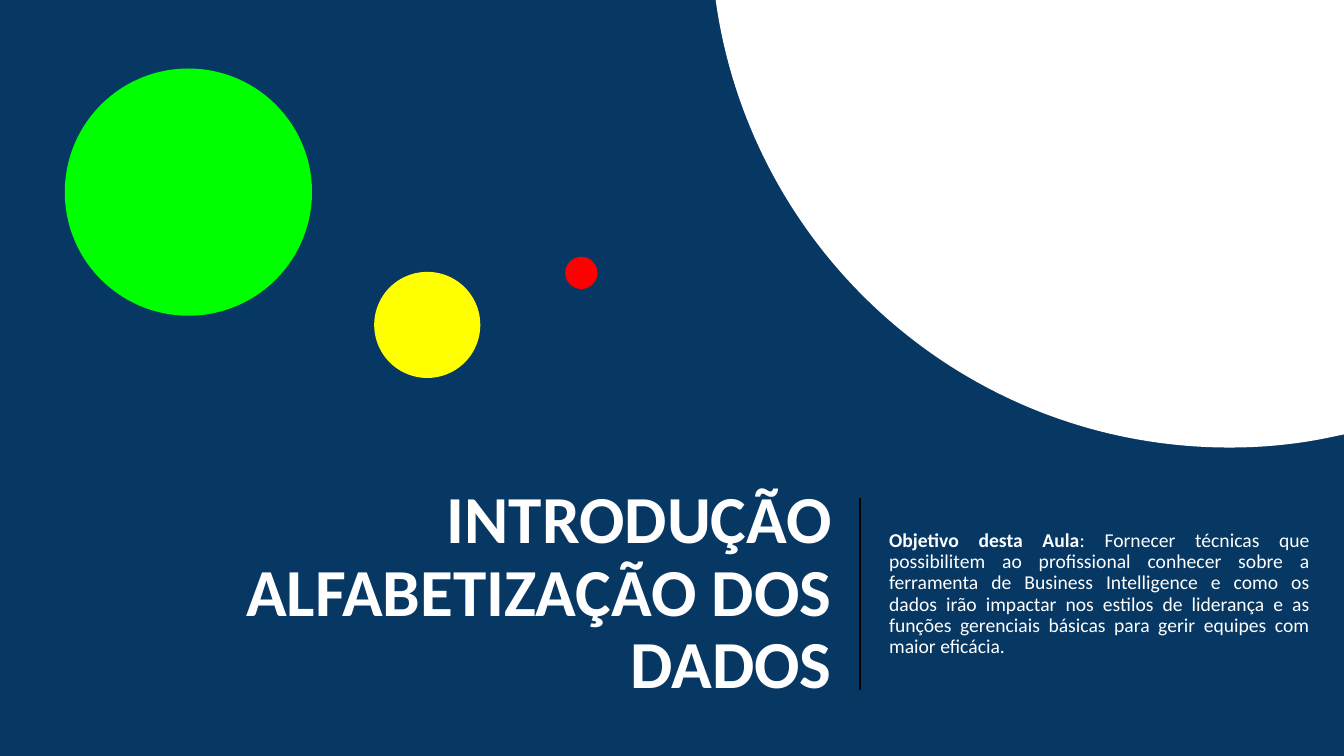
from dataclasses import dataclass

from lxml import etree
from pptx import Presentation
from pptx.dml.color import RGBColor
from pptx.enum.shapes import MSO_CONNECTOR, MSO_SHAPE
from pptx.enum.text import MSO_ANCHOR, PP_ALIGN
from pptx.oxml.ns import qn
from pptx.util import Pt

ELLIPSE = MSO_SHAPE.OVAL
STRAIGHT = MSO_CONNECTOR.STRAIGHT
MIDDLE = MSO_ANCHOR.MIDDLE
RIGHT = PP_ALIGN.RIGHT
JUSTIFY = PP_ALIGN.JUSTIFY

SLIDE_WIDTH, SLIDE_HEIGHT = 960, 540
TEXT_TOP, TEXT_HEIGHT = 355.9, 137.2
DIVIDER_X = 614.16
DISC_LEFT = 511.2

TITLE = "INTRODUÇÃO ALFABETIZAÇÃO DOS DADOS"
GOAL_LABEL = "Objetivo desta Aula"
GOAL = (
    ": Fornecer técnicas que possibilitem ao profissional conhecer sobre a "
    "ferramenta de Business Intelligence e como os dados irão impactar nos "
    "estilos de liderança e as funções gerenciais básicas para gerir equipes "
    "com maior eficácia."
)


@dataclass(frozen=True)
class Theme:
    font: str = "Calibri"
    title_size: int = 48
    body_size: int = 14
    navy: RGBColor = RGBColor(0x07, 0x37, 0x63)
    white: RGBColor = RGBColor(0xFF, 0xFF, 0xFF)
    black: RGBColor = RGBColor(0x00, 0x00, 0x00)
    green: RGBColor = RGBColor(0x00, 0xFF, 0x00)
    yellow: RGBColor = RGBColor(0xFF, 0xFF, 0x00)
    red: RGBColor = RGBColor(0xFF, 0x00, 0x00)


THEME = Theme()


def paint(shape, color):
    """Give a shape a flat fill without outline or shadow."""
    shape.shadow.inherit = False
    shape.fill.solid()
    shape.fill.fore_color.rgb = color
    shape.line.fill.background()


def add_circle(slide, left, top, diameter, color):
    circle = slide.shapes.add_shape(
        ELLIPSE, Pt(left), Pt(top), Pt(diameter), Pt(diameter)
    )
    paint(circle, color)


def bend(segment, controls):
    """Turn a straight outline segment into a cubic curve."""
    segment.tag = qn("a:cubicBezTo")
    for index, (x, y) in enumerate(controls):
        point = etree.Element(qn("a:pt"), x=str(Pt(x - DISC_LEFT)), y=str(Pt(y)))
        segment.insert(index, point)


def add_corner_disc(slide, color):
    """Draw the large disc cut off by the top right corner of the slide."""
    straight = [(SLIDE_WIDTH, 0), (SLIDE_WIDTH, 310.32), (946.08, 313.2)]
    curves = [
        ((924.48, 317.52), (901.44, 319.68), (878.4, 319.68)),
        ((692.64, 319.68), (539.28, 183.6), (511.92, 5.04)),
    ]
    corners = straight + [curve[-1] for curve in curves]
    builder = slide.shapes.build_freeform(Pt(DISC_LEFT), Pt(0))
    builder.add_line_segments([(Pt(x), Pt(y)) for x, y in corners], close=True)
    disc = builder.convert_to_shape()
    paint(disc, color)
    segments = list(disc._element.iter(qn("a:lnTo")))[len(straight):]
    for segment, curve in zip(segments, curves):
        bend(segment, curve[:2])


def add_text(slide, left, width, size, alignment, runs, indent=0):
    """Add a one-paragraph box; runs are (text, bold) pairs."""
    box = slide.shapes.add_textbox(Pt(left), Pt(TEXT_TOP), Pt(width), Pt(TEXT_HEIGHT))
    text_frame = box.text_frame
    text_frame.word_wrap = True
    text_frame.vertical_anchor = MIDDLE
    paragraph = text_frame.paragraphs[0]
    paragraph.alignment = alignment
    paragraph.line_spacing = 0.9
    paragraph._p.get_or_add_pPr().set("marL", str(Pt(indent)))
    for text, bold in runs:
        run = paragraph.add_run()
        run.text = text
        run.font.name = THEME.font
        run.font.size = Pt(size)
        run.font.bold = bold
        run.font.color.rgb = THEME.white


def add_divider(slide):
    divider = slide.shapes.add_connector(
        STRAIGHT,
        Pt(DIVIDER_X), Pt(TEXT_TOP),
        Pt(DIVIDER_X), Pt(TEXT_TOP + TEXT_HEIGHT),
    )
    divider.line.color.rgb = THEME.black
    divider.line.width = Pt(1.5)
    etree.SubElement(divider._element.spPr, qn("a:effectLst"))


def main():
    presentation = Presentation()
    presentation.slide_width = Pt(SLIDE_WIDTH)
    presentation.slide_height = Pt(SLIDE_HEIGHT)
    slide = presentation.slides.add_slide(presentation.slide_layouts[6])
    slide.background.fill.solid()
    slide.background.fill.fore_color.rgb = THEME.navy

    # Title and lesson goal
    add_text(slide, 65.6, 535.68, THEME.title_size, RIGHT, [(TITLE, True)])
    add_text(
        slide, 627.12, 315.6, THEME.body_size, JUSTIFY,
        [(GOAL_LABEL, True), (GOAL, False)], indent=0.9,
    )

    # Decorative circles
    add_circle(slide, 46.3, 48.96, 176.6, THEME.green)
    add_circle(slide, 267.3, 194.2, 75.8, THEME.yellow)
    add_circle(slide, 403.7, 183.4, 23.04, THEME.red)
    add_corner_disc(slide, THEME.white)

    # Line between title and goal
    add_divider(slide)

    presentation.save("out.pptx")


if __name__ == "__main__":
    main()
